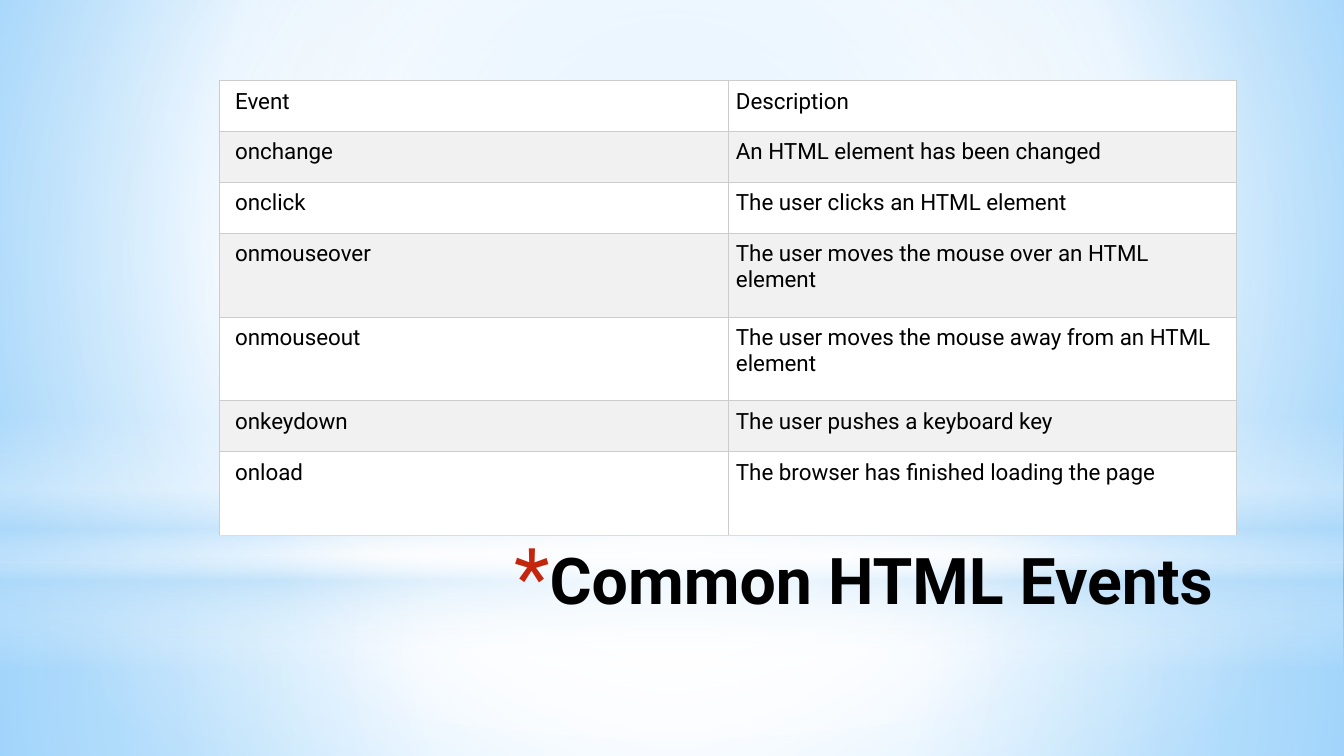
import pptx
import pptx.util
import pptx.dml.color
import pptx.enum.shapes
import pptx.enum.text
import pptx.oxml
import pptx.oxml.ns

Pt = pptx.util.Pt
RGBColor = pptx.dml.color.RGBColor
Shape = pptx.enum.shapes.MSO_SHAPE

TITLE = "Common HTML Events"
EVENTS = [
    ("Event", "Description"),
    ("onchange", "An HTML element has been changed"),
    ("onclick", "The user clicks an HTML element"),
    ("onmouseover", "The user moves the mouse over an HTML element"),
    ("onmouseout", "The user moves the mouse away from an HTML element"),
    ("onkeydown", "The user pushes a keyboard key"),
    ("onload", "The browser has finished loading the page"),
]
TALL_ROWS = {"onmouseover", "onmouseout", "onload"}

FONT = "Roboto"
BLACK = RGBColor(0x00, 0x00, 0x00)
WHITE = RGBColor(0xFF, 0xFF, 0xFF)
BAND_GREY = RGBColor(0xF1, 0xF1, 0xF1)
BORDER_GREY = RGBColor(0xCC, 0xCC, 0xCC)
LAST_BORDER_GREY = RGBColor(0xDD, 0xDD, 0xDD)
BULLET_RED = RGBColor(0xC3, 0x26, 0x0C)
PALE_BLUE = RGBColor(0xB4, 0xDC, 0xFA)
SKY_BLUE = RGBColor(0x9E, 0xD5, 0xFF)
DEEP_BLUE = RGBColor(0x5B, 0xB9, 0xFF)

WIDTH, HEIGHT = 960, 540
HORIZON = 401.76
CENTRE = (50, 50, 50, 50)

# Gradient stops: position %, colour, opacity %
BACKGROUND_STOPS = [(0, SKY_BLUE, 100), (60, WHITE, 100), (100, DEEP_BLUE, 100)]
# Shape, (left, top, width, height), stops, circle focus (None: top to bottom)
GLOWS = [
    (Shape.RECTANGLE, (0, HORIZON, WIDTH, HEIGHT - HORIZON),
     [(0, WHITE, 91), (37, WHITE, 76), (100, PALE_BLUE, 79)], CENTRE),
    (Shape.RECTANGLE, (0, 0, WIDTH, HORIZON),
     [(0, WHITE, 89), (48, WHITE, 62), (100, PALE_BLUE, 79)], CENTRE),
    (Shape.RECTANGLE, (0, 296.64, WIDTH, 180),
     [(0, WHITE, 0), (29, WHITE, 30), (45, PALE_BLUE, 40), (55, WHITE, 26),
      (65, PALE_BLUE, 60), (100, WHITE, 0)], None),
    (Shape.OVAL, (0, 126, WIDTH, HORIZON),
     [(0, WHITE, 100), (56, WHITE, 0)], CENTRE),
]

TITLE_BOX = (189.36, 382.32, 684, 90)
TITLE_INDENT = 25.2
TABLE_LEFT, TABLE_TOP, TABLE_WIDTH = 156.96, 57.6, 726.48
ROW_HEIGHT, TALL_ROW_HEIGHT = 36.4, 59.8
CELL_MARGIN, FIRST_COLUMN_MARGIN = 5.5, 11


def xml(text):
    """Parse an element that uses the a: prefix."""
    head, tail = text.split(">", 1)
    slash = "/" if head.endswith("/") else ""
    namespace = pptx.oxml.ns.nsdecls("a")
    return pptx.oxml.parse_xml(f"{head.rstrip('/')} {namespace}{slash}>{tail}")


def set_gradient(fill, owner, stops, focus):
    """Give fill, found inside the element owner, a gradient with opacities."""
    fill.gradient()
    stop_text = "".join(
        f'<a:gs pos="{position * 1000}"><a:srgbClr val="{color}">'
        f'<a:alpha val="{opacity * 1000}"/></a:srgbClr></a:gs>'
        for position, color, opacity in stops)
    if focus:
        sides = " ".join(f'{side}="{value * 1000}"' for side, value in zip("ltrb", focus))
        direction = f'<a:path path="circle"><a:fillToRect {sides}/></a:path>'
    else:
        direction = '<a:lin ang="5400000" scaled="0"/>'
    default = next(owner.iter(pptx.oxml.ns.qn("a:gradFill")))
    default.getparent().replace(default, xml(
        f'<a:gradFill rotWithShape="1"><a:gsLst>{stop_text}</a:gsLst>{direction}</a:gradFill>'))


def set_font(paragraph, size, bold=False):
    paragraph.font.name = FONT
    paragraph.font.size = Pt(size)
    paragraph.font.bold = bold
    paragraph.font.color.rgb = BLACK


def add_title(slide):
    text_frame = slide.shapes.add_textbox(*map(Pt, TITLE_BOX)).text_frame
    text_frame.word_wrap = True
    text_frame.vertical_anchor = pptx.enum.text.MSO_ANCHOR.TOP
    paragraph = text_frame.paragraphs[0]
    paragraph.text = TITLE
    paragraph.alignment = pptx.enum.text.PP_ALIGN.RIGHT
    set_font(paragraph, 46, bold=True)
    properties = paragraph._p.get_or_add_pPr()
    properties.set("marL", str(Pt(TITLE_INDENT)))
    properties.set("indent", str(-Pt(TITLE_INDENT)))
    bullet = [f'<a:buClr><a:srgbClr val="{BULLET_RED}"/></a:buClr>',
              '<a:buSzPct val="128000"/>', f'<a:buFont typeface="{FONT}"/>',
              '<a:buChar char="*"/>']
    for position, part in enumerate(bullet):
        properties.insert(position, xml(part))


def set_borders(cell, bottom_color):
    properties = cell._tc.get_or_add_tcPr()
    for position, side in enumerate("LRTB"):
        color = bottom_color if side == "B" else BORDER_GREY
        properties.insert(position, xml(
            f'<a:ln{side} w="{Pt(0.75)}"><a:solidFill><a:srgbClr val="{color}"/>'
            f'</a:solidFill></a:ln{side}>'))


def add_event_table(slide):
    heights = [TALL_ROW_HEIGHT if name in TALL_ROWS else ROW_HEIGHT for name, _ in EVENTS]
    table = slide.shapes.add_table(
        len(EVENTS), 2, Pt(TABLE_LEFT), Pt(TABLE_TOP), Pt(TABLE_WIDTH), Pt(sum(heights))).table
    for row_index, texts in enumerate(EVENTS):
        table.rows[row_index].height = Pt(heights[row_index])
        is_last = row_index == len(EVENTS) - 1
        for column_index, text in enumerate(texts):
            cell = table.cell(row_index, column_index)
            cell.text = text
            set_font(cell.text_frame.paragraphs[0], 16)
            cell.margin_left = Pt(CELL_MARGIN if column_index else FIRST_COLUMN_MARGIN)
            cell.margin_top = cell.margin_right = cell.margin_bottom = Pt(CELL_MARGIN)
            cell.fill.solid()
            cell.fill.fore_color.rgb = BAND_GREY if row_index % 2 else WHITE
            set_borders(cell, LAST_BORDER_GREY if is_last else BORDER_GREY)


def main():
    presentation = pptx.Presentation()
    presentation.slide_width, presentation.slide_height = Pt(WIDTH), Pt(HEIGHT)
    slide = presentation.slides.add_slide(presentation.slide_layouts[6])
    set_gradient(slide.background.fill, slide._element, BACKGROUND_STOPS, (20, 10, 20, 60))
    for kind, box, stops, focus in GLOWS:
        shape = slide.shapes.add_shape(kind, *map(Pt, box))
        shape.shadow.inherit = False
        shape.line.fill.background()
        set_gradient(shape.fill, shape._element, stops, focus)
    add_title(slide)
    add_event_table(slide)
    presentation.save("out.pptx")


if __name__ == "__main__":
    main()
